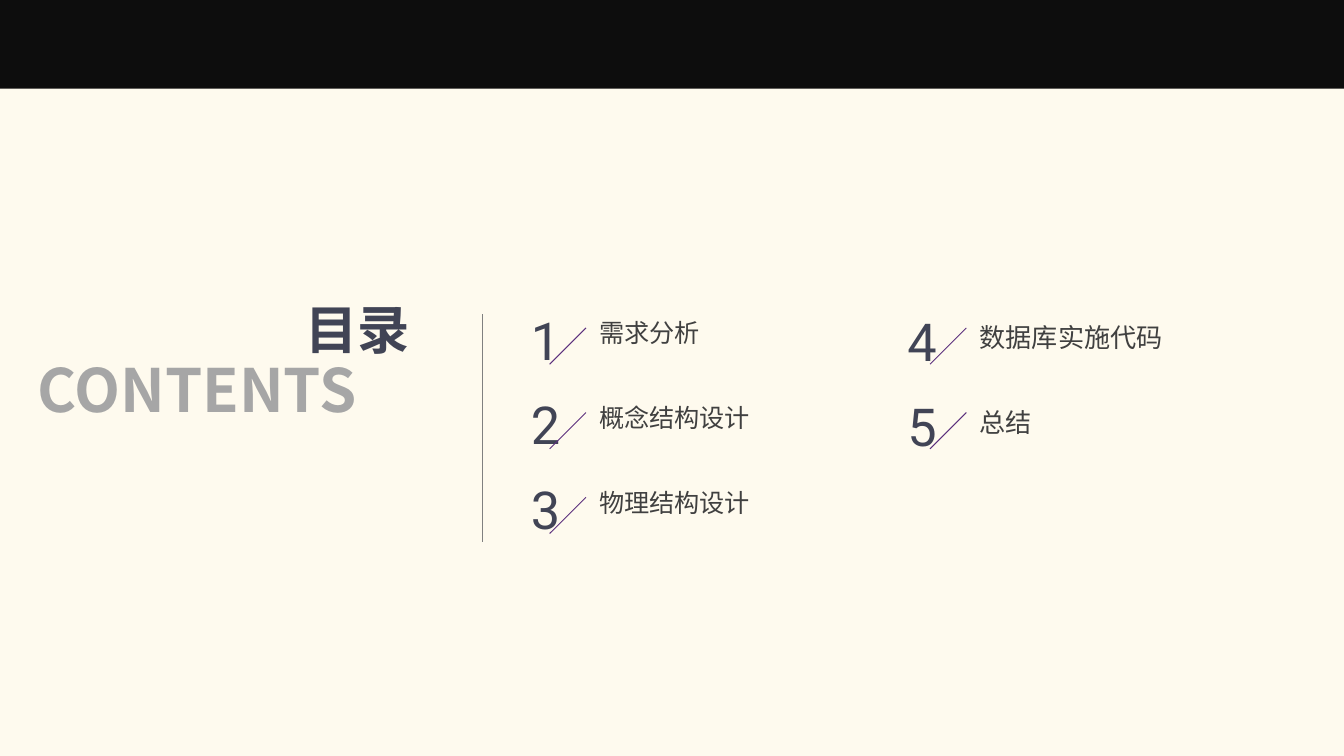
from dataclasses import dataclass

from lxml.etree import SubElement
from pptx import Presentation
from pptx.dml.color import RGBColor
from pptx.enum.shapes import MSO_CONNECTOR as Connector, MSO_SHAPE as Preset
from pptx.enum.text import MSO_ANCHOR as Anchor, MSO_AUTO_SIZE as AutoSize, PP_ALIGN as Align
from pptx.oxml.ns import qn
from pptx.util import Inches, Pt


@dataclass(frozen=True)
class Theme:
    paper: str = "FEFAEE"
    band: str = "0D0D0D"
    ink: str = "414455"
    label: str = "404040"
    subtitle: str = "A6A6A6"
    slash: str = "5C307D"
    divider: str = "808080"
    text_font: str = "Noto Sans CJK SC"
    number_font: str = "Roboto"
    title_size: float = 28
    subtitle_size: float = 32
    number_size: float = 28
    line_width: float = 0.5


@dataclass(frozen=True)
class Column:
    number_left: float
    number_top: float
    label_left: float
    label_top: float
    label_size: float
    label_height: float
    first_number: int
    labels: tuple


THEME = Theme()
WIDTH = 10
HEIGHT = WIDTH * 9 / 16
ROW_PITCH = 0.63
SLASH_TOP, SLASH_SIDE = 2.44, 0.27
SIDE_INSET = 0.1
COLUMNS = (
    Column(3.86, 2.24, 4.36, 2.31, 13.5, 0.33, 1, ("需求分析", "概念结构设计", "物理结构设计")),
    Column(6.66, 2.25, 7.19, 2.34, 14, 0.34, 4, ("数据库实施代码", "总结")),
)


def place(box, left, top, width, height):
    box.left, box.top = Inches(left), Inches(top)
    box.width, box.height = Inches(width), Inches(height)


def write(box, text, size, color, font=THEME.text_font, bold=False, align=Align.LEFT):
    frame = box.text_frame
    frame.text = text
    frame.word_wrap = False
    frame.auto_size = AutoSize.NONE
    frame.vertical_anchor = Anchor.MIDDLE
    frame.margin_top = frame.margin_bottom = 0
    frame.margin_left = frame.margin_right = Inches(SIDE_INSET)
    para = frame.paragraphs[0]
    para.alignment = align
    para.line_spacing = 1.0
    para.space_before = Pt(0)
    span = para.runs[0]
    span.font.size = Pt(size)
    span.font.bold = bold
    span.font.color.rgb = RGBColor.from_string(color)
    span.font.name = font
    SubElement(span.font._element, qn("a:ea"), typeface=font)


def add_text(shapes, area, text, size, color, **style):
    box = shapes.add_textbox(*map(Inches, area))
    write(box, text, size, color, **style)


def add_line(shapes, start, end, color):
    line = shapes.add_connector(Connector.STRAIGHT, *map(Inches, (*start, *end)))
    line.line.color.rgb = RGBColor.from_string(color)
    line.line.width = Pt(THEME.line_width)
    SubElement(line._element.spPr, qn("a:effectLst"))


def add_band(page):
    band = page.shapes.add_shape(Preset.RECTANGLE, 0, 0, Inches(WIDTH), Inches(0.66))
    band.shadow.inherit = False
    band.fill.solid()
    band.fill.fore_color.rgb = RGBColor.from_string(THEME.band)
    band.line.fill.background()


def add_heading(page):
    title = page.shapes.title
    place(title, 2.17, 2.16, 0.99, 0.57)
    write(title, "目录", THEME.title_size, THEME.ink, bold=True)
    add_text(page.shapes, (0.18, 2.57, 3.42, 0.64), "CONTENTS",
             THEME.subtitle_size, THEME.subtitle, bold=True)


def add_entry(page, column, row):
    shift = row * ROW_PITCH
    text = column.labels[row]
    label_width = len(text) * column.label_size / 72 + 2 * SIDE_INSET
    add_text(page.shapes,
             (column.label_left, column.label_top + shift, label_width, column.label_height),
             text, column.label_size, THEME.label)
    marker = page.shapes.add_group_shape().shapes
    add_text(marker, (column.number_left, column.number_top + shift, 0.4, 0.57),
             str(column.first_number + row), THEME.number_size, THEME.ink,
             font=THEME.number_font, align=Align.CENTER)
    slash_top = SLASH_TOP + shift
    add_line(marker, (column.label_left, slash_top),
             (column.label_left - SLASH_SIDE, slash_top + SLASH_SIDE), THEME.slash)


def main():
    deck = Presentation()
    deck.slide_width, deck.slide_height = Inches(WIDTH), Inches(HEIGHT)
    page = deck.slides.add_slide(deck.slide_layouts.get_by_name("Title Only"))
    page.background.fill.solid()
    page.background.fill.fore_color.rgb = RGBColor.from_string(THEME.paper)
    add_band(page)
    add_heading(page)
    for column in COLUMNS:
        for row in range(len(column.labels)):
            add_entry(page, column, row)
    add_line(page.shapes, (3.59, 2.34), (3.59, 4.03), THEME.divider)
    deck.save("out.pptx")


if __name__ == "__main__":
    main()
